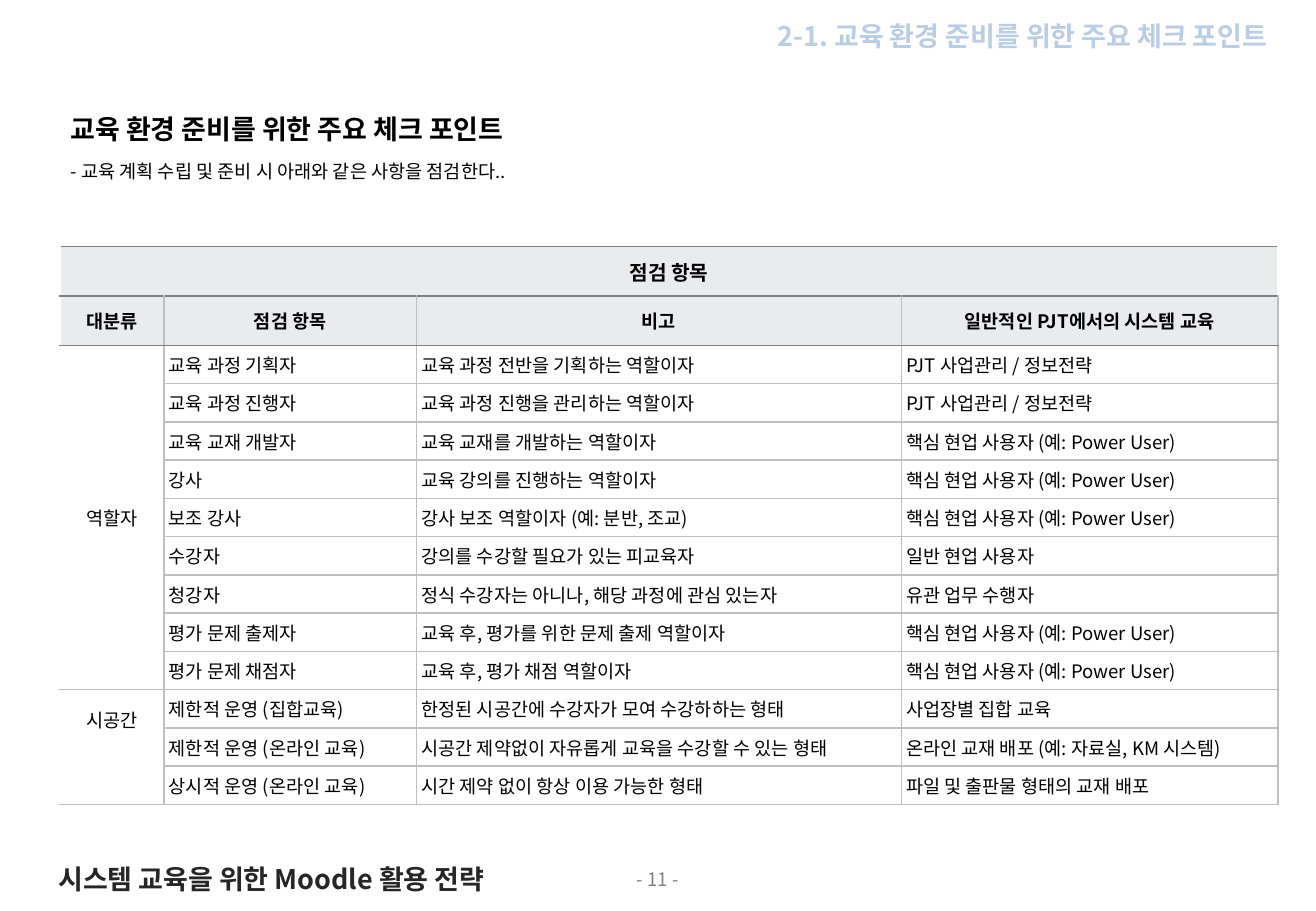
"""Builds the slide of check points for preparing a training environment."""
from dataclasses import dataclass

from lxml import etree
from pptx import Presentation
from pptx.dml.color import RGBColor
from pptx.enum.text import MSO_ANCHOR, MSO_AUTO_SIZE, PP_ALIGN
from pptx.oxml.ns import qn
from pptx.shapes.base import BaseShape
from pptx.slide import Slide
from pptx.table import Table, _Cell
from pptx.text.text import _Paragraph
from pptx.util import Cm, Pt

LEFT, RIGHT, CENTER = PP_ALIGN.LEFT, PP_ALIGN.RIGHT, PP_ALIGN.CENTER
JUST = PP_ALIGN.JUSTIFY
TOP, MIDDLE = MSO_ANCHOR.TOP, MSO_ANCHOR.MIDDLE
FIXED = MSO_AUTO_SIZE.NONE

FONT = "Noto Sans CJK KR"
HUES = {
    "ink": "000000", "dark": "262626", "gray": "808080", "pale": "B9CDE5",
    "band": "E9EBED", "rule": "BFBFBF", "white": "FFFFFF",
}
WIDTHS = (2.18, 5.28, 10.13, 7.88)
HEAD, ROW = 1.03, 0.8
PAD = 0.1

CAPTION = "점검 항목"
HEADS = ("대분류", "점검 항목", "비고", "일반적인 PJT에서의 시스템 교육")
OFFICE = "PJT 사업관리 / 정보전략"
POWER = "핵심 현업 사용자 (예: Power User)"
GROUPS = {
    "역할자": (
        ("교육 과정 기획자", "교육 과정 전반을 기획하는 역할이자", OFFICE),
        ("교육 과정 진행자", "교육 과정 진행을 관리하는 역할이자", OFFICE),
        ("교육 교재 개발자", "교육 교재를 개발하는 역할이자", POWER),
        ("강사", "교육 강의를 진행하는 역할이자", POWER),
        ("보조 강사", "강사 보조 역할이자 (예: 분반, 조교)", POWER),
        ("수강자", "강의를 수강할 필요가 있는 피교육자", "일반 현업 사용자"),
        ("청강자", "정식 수강자는 아니나, 해당 과정에 관심 있는자", "유관 업무 수행자"),
        ("평가 문제 출제자", "교육 후, 평가를 위한 문제 출제 역할이자", POWER),
        ("평가 문제 채점자", "교육 후, 평가 채점 역할이자", POWER),
    ),
    "시공간": (
        ("제한적 운영 (집합교육)", "한정된 시공간에 수강자가 모여 수강하하는 형태", "사업장별 집합 교육"),
        ("제한적 운영 (온라인 교육)", "시공간 제약없이 자유롭게 교육을 수강할 수 있는 형태",
         "온라인 교재 배포 (예: 자료실, KM 시스템)"),
        ("상시적 운영 (온라인 교육)", "시간 제약 없이 항상 이용 가능한 형태", "파일 및 출판물 형태의 교재 배포"),
    ),
}


@dataclass(frozen=True)
class Line:
    text: str
    size: float
    bold: bool = False
    hue: str = "ink"
    gap: float = 0


@dataclass(frozen=True)
class Block:
    left: float
    top: float
    width: float
    height: float
    align: PP_ALIGN
    lines: tuple[Line, ...]
    wrap: bool = True


TITLE = Block(14.65, 0.28, 12.1, 0.94, RIGHT,
              (Line("2-1. 교육 환경 준비를 위한 주요 체크 포인트", 16, True, "pale"),), False)
BODY = Block(1.22, 2.23, 25.04, 1.95, JUST, (
    Line("교육 환경 준비를 위한 주요 체크 포인트", 16, True),
    Line("- 교육 계획 수립 및 준비 시 아래와 같은 사항을 점검한다..", 11, gap=9),
))
NOTES = (
    Block(0, 18.03, 27.51, 0.74, CENTER, (Line("- 11 -", 11, hue="gray"),)),
    Block(0.97, 17.91, 10.44, 0.94, LEFT,
          (Line("시스템 교육을 위한 Moodle 활용 전략", 16, True, "dark"),), False),
)


def style(para: _Paragraph, line: Line, align: PP_ALIGN) -> None:
    para.alignment = align
    para.space_before = Pt(line.gap)
    for run in para.runs:
        font = run.font
        font.name, font.size, font.bold = FONT, Pt(line.size), line.bold
        font.color.rgb = RGBColor.from_string(HUES[line.hue])
        etree.SubElement(run._r.get_or_add_rPr(), qn("a:ea"), typeface=FONT)


def place(shape: BaseShape, block: Block) -> None:
    shape.left, shape.top = Cm(block.left), Cm(block.top)
    shape.width, shape.height = Cm(block.width), Cm(block.height)
    frame = shape.text_frame
    frame.text = "\n".join(line.text for line in block.lines)
    frame.auto_size, frame.word_wrap = FIXED, block.wrap
    frame.vertical_anchor = TOP
    for para, line in zip(frame.paragraphs, block.lines):
        props = para._p.get_or_add_pPr()
        props.set("marL", "0")
        props.set("indent", "0")
        etree.SubElement(props, qn("a:buNone"))
        style(para, line, block.align)


def edge(cell: _Cell, row: int, col: int) -> None:
    sides = {
        "L": "rule" if col else "white",
        "R": "rule" if row else "white",
        "T": "gray" if row <= 2 else "rule",
        "B": "gray" if row <= 1 else "rule",
    }
    props = cell._tc.get_or_add_tcPr()
    for side, hue in sides.items():
        rule = etree.SubElement(props, qn(f"a:ln{side}"), w=str(Pt(1)))
        fill = etree.SubElement(rule, qn("a:solidFill"))
        etree.SubElement(fill, qn("a:srgbClr"), val=HUES[hue])


def write(table: Table, row: int, col: int, text: str) -> None:
    cell = table.cell(row, col)
    edge(cell, row, col)
    head = row < 2
    if head:
        cell.fill.solid()
        cell.fill.fore_color.rgb = RGBColor.from_string(HUES["band"])
    else:
        cell.fill.background()
    cell.margin_left = cell.margin_right = Cm(PAD)
    cell.margin_top = cell.margin_bottom = Cm(PAD)
    cell.vertical_anchor = MIDDLE
    cell.text_frame.text = text
    line = Line(text, 11 if row else 12, head)
    style(cell.text_frame.paragraphs[0], line, CENTER if head or not col else LEFT)


def chart(slide: Slide) -> None:
    count = sum(len(items) for items in GROUPS.values())
    high = 2 * HEAD + count * ROW
    table = slide.shapes.add_table(count + 2, len(WIDTHS), Cm(1.25), Cm(5.16),
                                   Cm(sum(WIDTHS)), Cm(high)).table
    table.first_row = table.horz_banding = False
    for col, width in zip(table.columns, WIDTHS):
        col.width = Cm(width)
    for row, line in enumerate(table.rows):
        line.height = Cm(HEAD if row < 2 else ROW)
    table.cell(0, 0).merge(table.cell(0, len(WIDTHS) - 1))
    write(table, 0, 0, CAPTION)
    for col, text in enumerate(HEADS):
        write(table, 1, col, text)
    row = 2
    for group, items in GROUPS.items():
        table.cell(row, 0).merge(table.cell(row + len(items) - 1, 0))
        write(table, row, 0, group)
        for item in items:
            for col, text in enumerate(item, 1):
                write(table, row, col, text)
            row += 1
    last = table.cell(row - len(items), 0)
    last.vertical_anchor, last.margin_top = TOP, Cm(0.35)


def main() -> None:
    deck = Presentation()
    deck.slide_width, deck.slide_height = Cm(27.51), Cm(19.05)
    slide = deck.slides.add_slide(deck.slide_layouts[1])
    for note in NOTES:
        place(slide.shapes.add_textbox(0, 0, 0, 0), note)
    place(slide.shapes.title, TITLE)
    chart(slide)
    place(slide.placeholders[1], BODY)
    deck.save("out.pptx")


if __name__ == "__main__":
    main()
